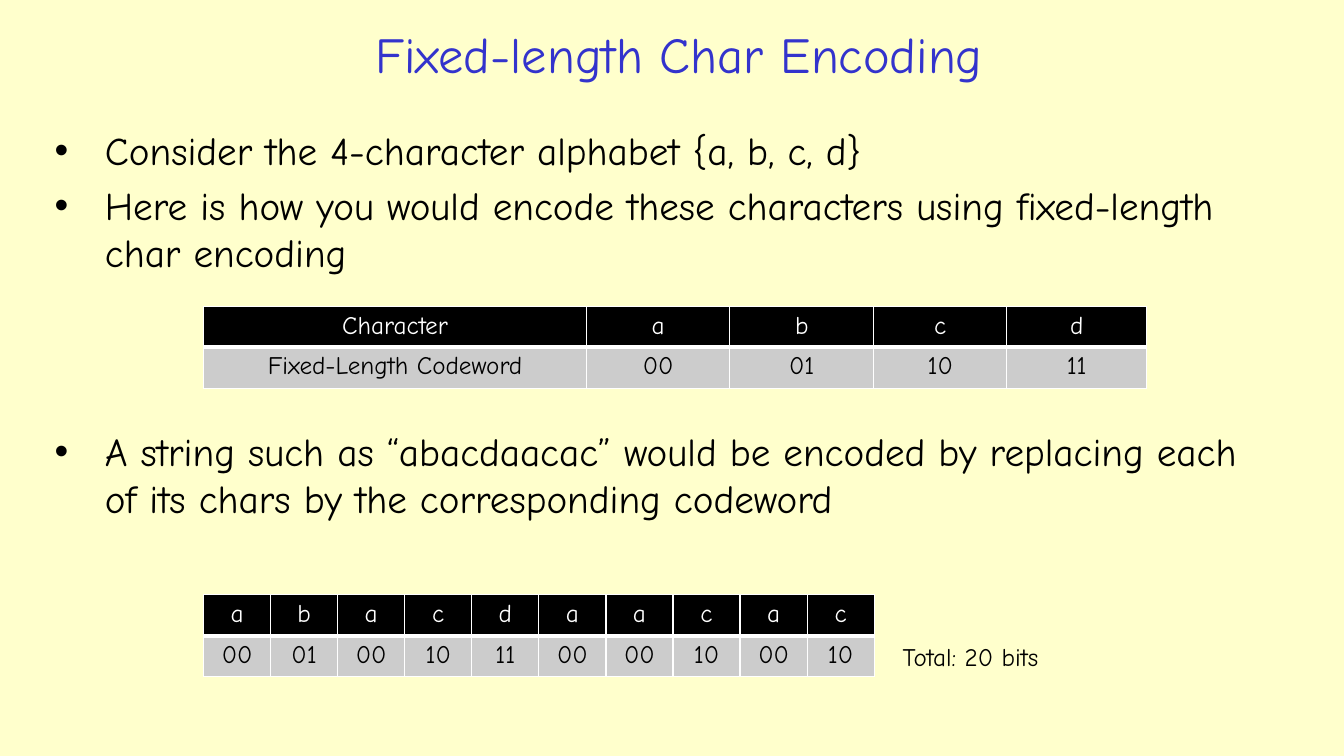
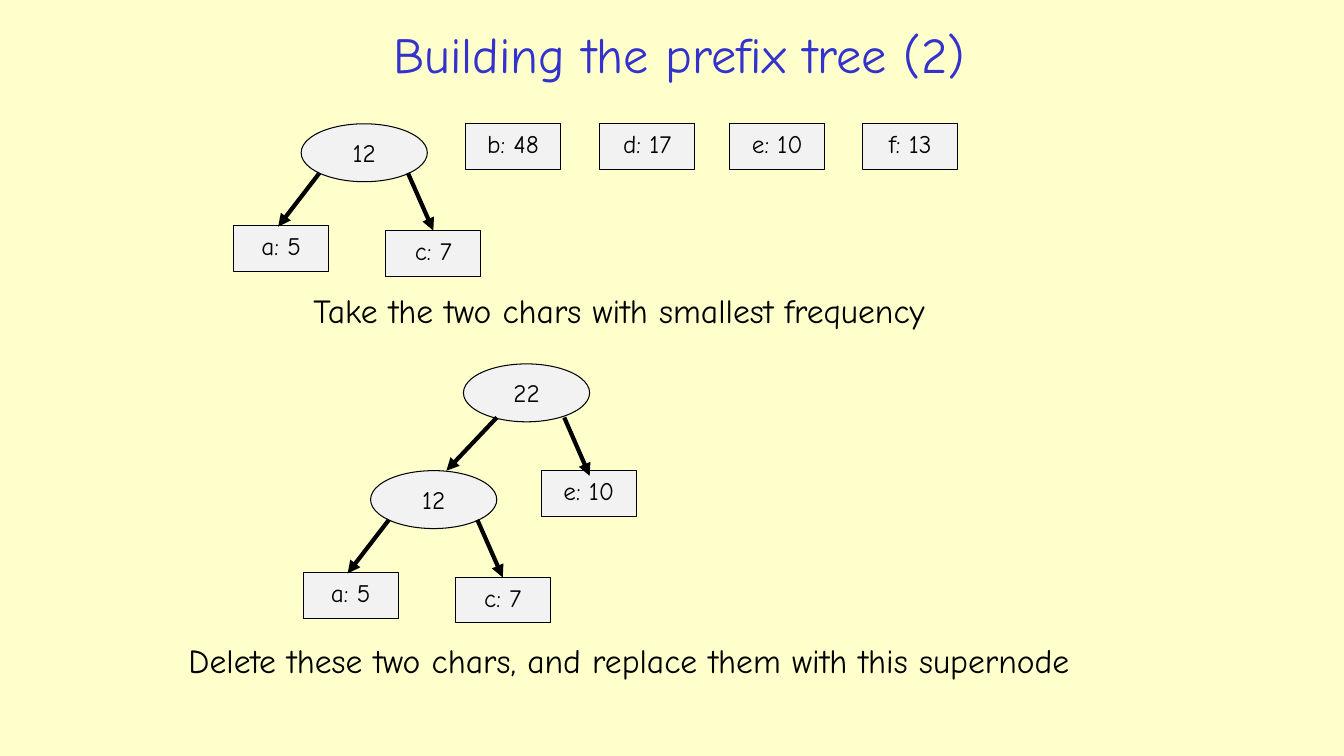
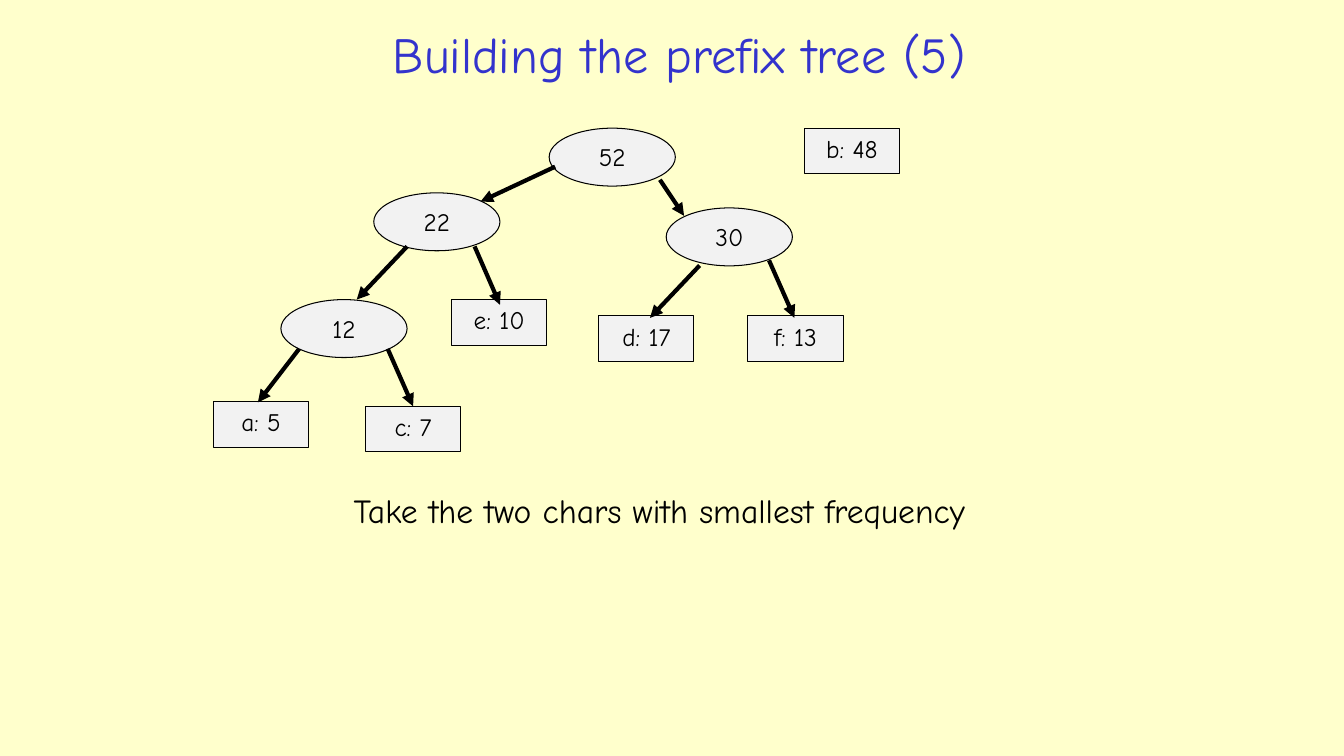
"""Build three slides on character encoding and prefix trees."""
from dataclasses import dataclass
from typing import Any

from lxml.etree import SubElement as Sub
from pptx import Presentation as Deck
from pptx.dml.color import RGBColor as Rgb
from pptx.enum.shapes import MSO_CONNECTOR as Link, MSO_SHAPE as Form
from pptx.enum.text import MSO_ANCHOR as Anchor, MSO_AUTO_SIZE as Fit, PP_ALIGN as Align
from pptx.oxml.ns import qn
from pptx.slide import Slide
from pptx.util import Cm, Pt

HUES = {
    "page": "FFFFCC",
    "title": "3333CC",
    "ink": "000000",
    "node": "F2F2F2",
    "row": "CCCCCC",
    "white": "FFFFFF",
}
FACE = "Comic Neue"
CODES = {"a": "00", "b": "01", "c": "10", "d": "11"}
WORD = "abacdaacac"
TAKE = "Take the two chars with smallest frequency"

Point = tuple[float, float]
Area = tuple[float, float, float, float]


@dataclass(frozen=True)
class Node:
    text: str
    arms: tuple["Arm", ...] = ()


@dataclass(frozen=True)
class Arm:
    node: Node
    shift: Point
    start: Point
    end: Point


@dataclass(frozen=True)
class Place:
    node: Node
    x: float
    y: float


@dataclass(frozen=True)
class Note:
    text: str
    area: Area
    size: int = 24


A, B, C, D, E, F = (Node(text) for text in ("a: 5", "b: 48", "c: 7", "d: 17", "e: 10", "f: 13"))
N12 = Node("12", (
    Arm(A, (-1.7, 2.57), (0.46, 1.24), (-0.58, 2.59)),
    Arm(C, (2.13, 2.69), (2.69, 1.24), (3.33, 2.69)),
))
N22 = Node("22", (
    Arm(N12, (-2.34, 2.69), (0.84, 1.35), (-0.43, 2.69)),
    Arm(E, (1.96, 2.69), (2.54, 1.35), (3.18, 2.82)),
))
N30 = Node("30", (
    Arm(D, (-1.7, 2.72), (0.84, 1.45), (-0.41, 2.77)),
    Arm(F, (2.06, 2.72), (2.59, 1.32), (3.23, 2.77)),
))
N52 = Node("52", (
    Arm(N22, (-4.42, 1.63), (0.15, 0.97), (-1.73, 1.85)),
    Arm(N30, (2.95, 2.01), (2.79, 1.3), (3.4, 2.21)),
))


def tint(hue: str) -> Rgb:
    return Rgb.from_string(HUES[hue])


def style(para: Any, size: int, hue: str = "ink", align: Align = Align.LEFT) -> None:
    para.alignment = align
    looks = {"name": FACE, "size": Pt(size), "bold": False}
    for key, val in looks.items():
        setattr(para.font, key, val)
    para.font.color.rgb = tint(hue)


def move(shape: Any, area: Area) -> None:
    for key, val in zip(("left", "top", "width", "height"), area):
        setattr(shape, key, Cm(val))


def start(deck: Any, kind: int, title: str) -> Slide:
    slide = deck.slides.add_slide(deck.slide_layouts[kind])
    head = slide.shapes.title
    move(head, (5, 0.38, 24.23, 1.93))
    head.text_frame.text = title
    head.text_frame.auto_size = Fit.NONE
    head.text_frame.vertical_anchor = Anchor.MIDDLE
    style(head.text_frame.paragraphs[0], 36, "title", Align.CENTER)
    return slide


def fill_list(body: Any, area: Area, items: list[str]) -> None:
    move(body, area)
    frame = body.text_frame
    frame.text = "\n".join(items)
    frame.auto_size = Fit.NONE
    for rank, para in enumerate(frame.paragraphs):
        para.space_before = Pt(5.6 if rank else 0)
        props = para._p.get_or_add_pPr()
        props.set("marL", str(Cm(1.42)))
        props.set("indent", str(Cm(-1.27)))
        Sub(props, qn("a:buChar")).set("char", "•")
        style(para, 28)


def edge(cell: Any, side: str, width: float) -> None:
    line = Sub(cell._tc.get_or_add_tcPr(), qn(f"a:ln{side}"), w=str(Pt(width)))
    paint = Sub(line, qn("a:solidFill"))
    Sub(paint, qn("a:srgbClr")).set("val", HUES["white"])


def add_grid(slide: Slide, x: float, y: float, wides: list[float], rows: list[list[str]]) -> None:
    tall = 1.03
    size = Cm(x), Cm(y), Cm(sum(wides)), Cm(tall * len(rows))
    grid = slide.shapes.add_table(len(rows), len(wides), *size).table
    for col, wide in zip(grid.columns, wides):
        col.width = Cm(wide)
    for rank, texts in enumerate(rows):
        grid.rows[rank].height = Cm(tall)
        back, ink = ("row", "ink") if rank else ("ink", "white")
        for spot, text in enumerate(texts):
            cell = grid.cell(rank, spot)
            cell.text = text
            style(cell.text_frame.paragraphs[0], 18, ink, Align.CENTER)
            for side in "LRTB":
                edge(cell, side, 3 if side == "B" and not rank else 1)
            cell.fill.solid()
            cell.fill.fore_color.rgb = tint(back)


def add_note(slide: Slide, note: Note) -> None:
    frame = slide.shapes.add_textbox(*map(Cm, note.area)).text_frame
    frame.word_wrap = True
    frame.text = note.text
    style(frame.paragraphs[0], note.size)


def add_arrow(slide: Slide, tail: Point, tip: Point) -> None:
    line = slide.shapes.add_connector(Link.STRAIGHT, *map(Cm, tail + tip))
    line.line.width = Pt(3)
    line.line.color.rgb = tint("ink")
    Sub(line.line._get_or_add_ln(), qn("a:tailEnd")).set("type", "triangle")
    Sub(line._element.spPr, qn("a:effectLst"))


def add_tree(slide: Slide, node: Node, x: float, y: float) -> None:
    form, wide, tall = (Form.OVAL, 3.18, 1.46) if node.arms else (Form.RECTANGLE, 2.4, 1.15)
    shape = slide.shapes.add_shape(form, *map(Cm, (x, y, wide, tall)))
    shape.shadow.inherit = False
    shape.fill.solid()
    shape.fill.fore_color.rgb = tint("node")
    shape.line.color.rgb = tint("ink")
    shape.line.width = Pt(0.75)
    shape.text_frame.text = node.text
    shape.text_frame.vertical_anchor = Anchor.TOP
    style(shape.text_frame.paragraphs[0], 18, align=Align.CENTER)
    for arm in node.arms:
        add_tree(slide, arm.node, x + arm.shift[0], y + arm.shift[1])
        tail, tip = ((x + dx, y + dy) for dx, dy in (arm.start, arm.end))
        add_arrow(slide, tail, tip)


def draw_codes(deck: Any) -> None:
    slide = start(deck, 3, "Fixed-length Char Encoding")
    fill_list(slide.placeholders[1], (0.97, 3.05, 31.88, 4.9), [
        "Consider the 4-character alphabet {a, b, c, d}",
        "Here is how you would encode these characters using fixed-length char encoding",
    ])
    add_grid(slide, 5.13, 7.72, [9.65, 3.61, 3.63, 3.35, 3.53], [
        ["Character", *CODES],
        ["Fixed-Length Codeword", *CODES.values()],
    ])
    fill_list(slide.placeholders[2], (0.97, 10.64, 31.55, 4.52), [
        f"A string such as “{WORD}” would be encoded by replacing each "
        "of its chars by the corresponding codeword",
    ])
    add_grid(slide, 5.13, 14.99, [1.69] * len(WORD), [
        list(WORD),
        [CODES[char] for char in WORD],
    ])
    add_note(slide, Note("Total: 20 bits", (22.5, 16.03, 4.62, 1.02), 18))


def draw_trees(deck: Any, title: str, trees: list[Place], notes: list[Note]) -> None:
    slide = start(deck, 5, title)
    for tree in trees:
        add_tree(slide, tree.node, tree.x, tree.y)
    for note in notes:
        add_note(slide, note)


def main() -> None:
    deck = Deck()
    deck.slide_width, deck.slide_height = Cm(33.87), Cm(19.05)
    back = deck.slide_master.background.fill
    back.solid()
    back.fore_color.rgb = tint("page")
    draw_codes(deck)
    draw_trees(deck, "Building the prefix tree (2)", [
        Place(N12, 7.59, 3.12),
        Place(B, 11.73, 3.12),
        Place(D, 15.11, 3.12),
        Place(E, 18.39, 3.12),
        Place(F, 21.74, 3.12),
        Place(N22, 11.68, 9.17),
    ], [
        Note(TAKE, (7.65, 7.19, 17.98, 1.27)),
        Note("Delete these two chars, and replace them with this supernode", (4.5, 16, 25.22, 1.27)),
    ])
    draw_trees(deck, "Building the prefix tree (5)", [
        Place(N52, 13.84, 3.23),
        Place(B, 20.27, 3.23),
    ], [Note(TAKE, (8.66, 12.22, 17.98, 1.27))])
    deck.save("out.pptx")


if __name__ == "__main__":
    main()
